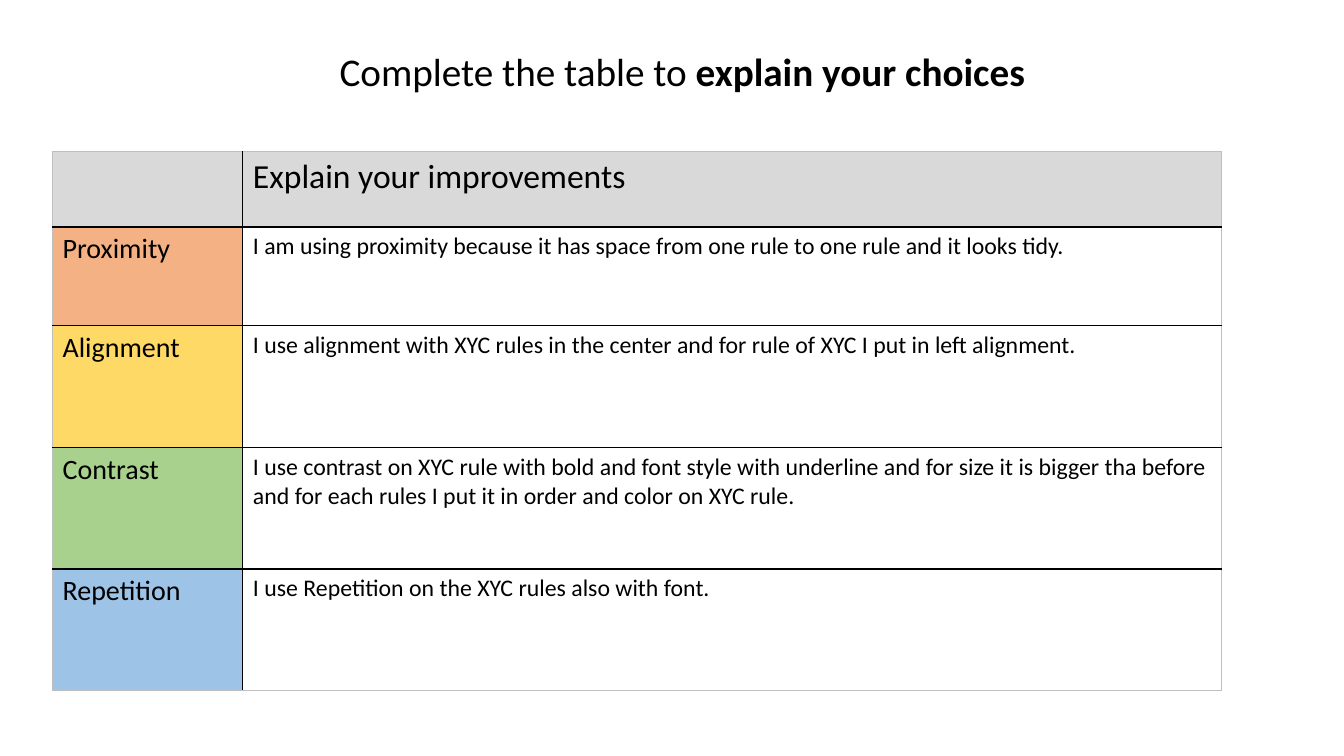
from dataclasses import dataclass

from lxml.etree import SubElement as Sub
from pptx import Presentation
from pptx.dml.color import RGBColor
from pptx.enum.text import MSO_AUTO_SIZE as Fit
from pptx.oxml.ns import qn
from pptx.slide import Slide
from pptx.table import Table, _Cell as Cell
from pptx.text.text import _Paragraph as Para
from pptx.util import Pt

BLACK = RGBColor(0x00, 0x00, 0x00)
WHITE = RGBColor(0xFF, 0xFF, 0xFF)
EDGE = RGBColor(0xBF, 0xBF, 0xBF)
GREY = RGBColor(0xD9, 0xD9, 0xD9)
ORANGE = RGBColor(0xF4, 0xB1, 0x83)
YELLOW = RGBColor(0xFF, 0xD9, 0x66)
GREEN = RGBColor(0xA9, 0xD1, 0x8E)
BLUE = RGBColor(0x9D, 0xC3, 0xE6)

COLS = (136, 699)


@dataclass(frozen=True)
class Row:
    label: str
    reply: str
    tint: RGBColor
    high: float
    size: float = 17
    back: RGBColor = WHITE


ROWS = (
    Row("", "Explain your improvements", GREY, 54, 24, GREY),
    Row("Proximity", "I am using proximity because it has space from one rule "
        "to one rule and it looks tidy.", ORANGE, 70.5),
    Row("Alignment", "I use alignment with XYC rules in the center and for rule "
        "of XYC I put in left alignment.", YELLOW, 87),
    Row("Contrast", "I use contrast on XYC rule with bold and font style with "
        "underline and for size it is bigger tha before and for each rules "
        "I put it in order and color on XYC rule.", GREEN, 87),
    Row("Repetition", "I use Repetition on the XYC rules also with font.",
        BLUE, 87),
)


def write(para: Para, text: str, size: float, bold: bool = False) -> None:
    run = para.add_run()
    run.text = text
    form = {"name": "Calibri", "size": Pt(size), "bold": bold}
    for key, value in form.items():
        setattr(run.font, key, value)
    run.font.color.rgb = BLACK


def rule(cell: Cell, side: str, color: RGBColor, width: float) -> None:
    props = cell._tc.get_or_add_tcPr()
    line = Sub(props, qn(f"a:ln{side}"), w=str(Pt(width)))
    Sub(Sub(line, qn("a:solidFill")), qn("a:srgbClr"), val=str(color))


def frame(cell: Cell, row: int, col: int) -> None:
    last = len(ROWS) - 1
    outer = {"L": col == 0, "R": col == 1, "T": row == 0, "B": row == last}
    head = {"T": row == 1, "B": row == 0}
    for side, edge in outer.items():
        width = 1.5 if head.get(side) else 1
        rule(cell, side, EDGE if edge else BLACK, 0.75 if edge else width)


def fill(table: Table) -> None:
    for col, width in zip(table.columns, COLS):
        col.width = Pt(width)
    for i, row in enumerate(ROWS):
        table.rows[i].height = Pt(row.high)
        parts = ((row.label, 20, row.tint), (row.reply, row.size, row.back))
        for j, (text, size, color) in enumerate(parts):
            cell = table.cell(i, j)
            frame(cell, i, j)
            cell.fill.solid()
            cell.fill.fore_color.rgb = color
            if text:
                write(cell.text_frame.paragraphs[0], text, size)


def add_grid(slide: Slide) -> None:
    high = sum(row.high for row in ROWS)
    table = slide.shapes.add_table(
        len(ROWS), len(COLS), Pt(37.5), Pt(108), Pt(sum(COLS)), Pt(high)).table
    for key, value in {"first_row": False, "horz_banding": False}.items():
        setattr(table, key, value)
    fill(table)


def add_title(slide: Slide) -> None:
    box = slide.shapes.add_textbox(Pt(235.5), Pt(30), Pt(509), Pt(41)).text_frame
    form = {"word_wrap": False, "auto_size": Fit.SHAPE_TO_FIT_TEXT}
    for key, value in form.items():
        setattr(box, key, value)
    para = box.paragraphs[0]
    write(para, "Complete the table to ", 28)
    write(para, "explain your choices", 28, True)


def main() -> None:
    deck = Presentation()
    deck.slide_width, deck.slide_height = Pt(960), Pt(540)
    slide = deck.slides.add_slide(deck.slide_layouts[6])
    add_grid(slide)
    add_title(slide)
    deck.save("out.pptx")


if __name__ == "__main__":
    main()
